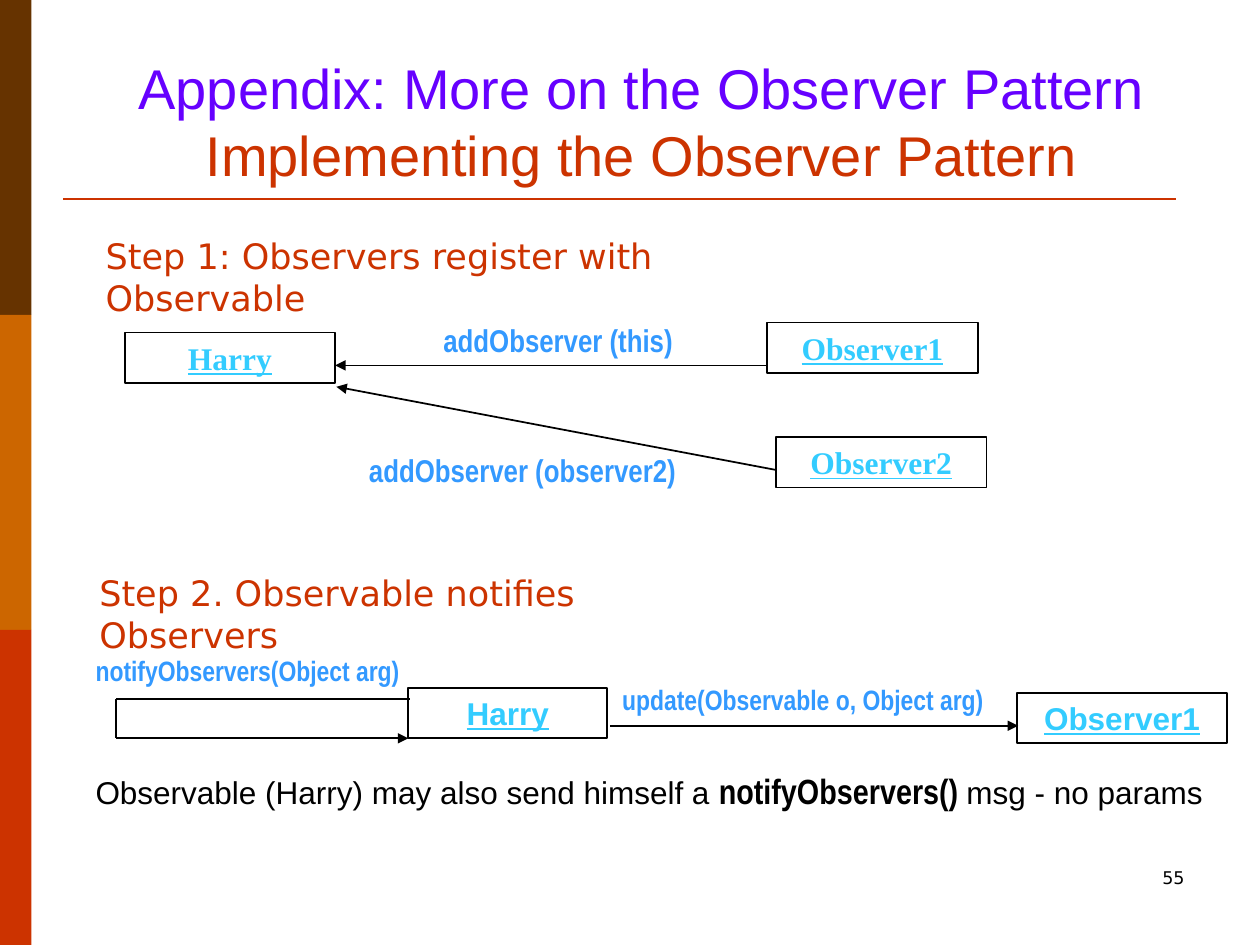
from dataclasses import dataclass

from lxml.etree import SubElement
from pptx import Presentation
from pptx.dml.color import RGBColor
from pptx.enum.shapes import MSO_CONNECTOR, MSO_SHAPE
from pptx.enum.text import MSO_ANCHOR, PP_ALIGN
from pptx.oxml.ns import qn
from pptx.util import Inches, Pt

BLACK = RGBColor(0x00, 0x00, 0x00)
BROWN = RGBColor(0x66, 0x33, 0x00)
ORANGE = RGBColor(0xCC, 0x66, 0x00)
RED = RGBColor(0xCC, 0x33, 0x00)
PURPLE = RGBColor(0x66, 0x00, 0xFF)
CYAN = RGBColor(0x33, 0xCC, 0xFF)
BLUE = RGBColor(0x33, 0x99, 0xFF)

SANS = "Arial"
NARROW = "Arial Narrow"
SERIF = "Times New Roman"
STEP_FONT = "DejaVu Sans"
LINE_BREAK = "\n"


@dataclass
class Run:
    text: str
    font: str
    size: float
    color: RGBColor
    bold: bool = False
    underline: bool = False


@dataclass
class Label:
    left: float
    top: float
    width: float
    height: float
    runs: list[Run]
    align: PP_ALIGN = PP_ALIGN.LEFT
    anchor: MSO_ANCHOR = MSO_ANCHOR.TOP


@dataclass
class ObjectBox:
    name: str
    left: float
    top: float
    width: float
    font: str
    height: float = 0.4


@dataclass
class Line:
    start: tuple[float, float]
    end: tuple[float, float]
    arrow: bool = False
    color: RGBColor = BLACK
    weight: float = 1


def message(text: str, size: float) -> list[Run]:
    return [Run(text, NARROW, size, BLUE, bold=True)]


def step(text: str) -> list[Run]:
    return [Run(text, STEP_FONT, 20, RED)]


STRIPES = [BROWN, ORANGE, RED]
STRIPE_WIDTH, STRIPE_HEIGHT = 0.25, 2.5

LABELS = [
    Label(7.17, 6.83, 2.33, 0.5, [Run("55", STEP_FONT, 10, BLACK)], PP_ALIGN.RIGHT),
    Label(0.51, 0.5, 9.17, 0.92, [
        Run("Appendix: More on the Observer Pattern", SANS, 32, PURPLE),
        Run(LINE_BREAK, SANS, 32, PURPLE),
        Run("Implementing the Observer Pattern", SANS, 32, RED),
    ], PP_ALIGN.CENTER, MSO_ANCHOR.MIDDLE),
    Label(0.74, 1.81, 5.79, 0.44, step("Step 1: Observers register with Observable")),
    Label(3.42, 2.5, 2.08, 0.4, message("addObserver (this)", 18)),
    Label(2.83, 3.53, 2.67, 0.4, message("addObserver (observer2)", 18)),
    Label(0.69, 4.49, 5.1, 0.44, step("Step 2. Observable notifies Observers")),
    Label(0.66, 5.14, 2.75, 0.36, message("notifyObservers(Object arg)", 16)),
    Label(4.84, 5.37, 3.24, 0.36, message("update(Observable o, Object arg)", 16)),
    Label(0.66, 6.06, 9.25, 0.43, [
        Run("Observable (Harry) may also send himself a", SANS, 18, BLACK),
        Run(" ", SERIF, 20, BLACK),
        Run("notifyObservers() ", NARROW, 20, BLACK, bold=True),
        Run("msg - no params", SANS, 18, BLACK),
    ]),
]

OBJECT_BOXES = [
    ObjectBox("Harry", 0.99, 2.64, 1.67, SERIF),
    ObjectBox("Observer1", 6.09, 2.56, 1.67, SERIF),
    ObjectBox("Observer2", 6.16, 3.47, 1.67, SERIF),
    ObjectBox("Harry", 3.24, 5.46, 1.58, SANS),
    ObjectBox("Observer1", 8.07, 5.5, 1.67, SANS),
]

TITLE_RULE = Line((0.5, 1.58), (9.33, 1.58), color=RED, weight=1.5)
REGISTER_LINES = [
    Line((6.09, 2.9), (2.66, 2.9), arrow=True),
    Line((6.16, 3.73), (2.67, 3.07), arrow=True),
]
SELF_CALL_LINES = [
    Line((3.25, 5.55), (0.92, 5.55)),
    Line((0.92, 5.55), (0.92, 5.86)),
    Line((0.92, 5.86), (3.24, 5.86), arrow=True),
]
UPDATE_LINE = Line((4.84, 5.76), (8.08, 5.76), arrow=True)


def fill_text(shape, runs: list[Run], align: PP_ALIGN, anchor: MSO_ANCHOR) -> None:
    frame = shape.text_frame
    frame.word_wrap = True
    frame.vertical_anchor = anchor
    paragraph = frame.paragraphs[0]
    paragraph.alignment = align
    for item in runs:
        if item.text == LINE_BREAK:
            paragraph.add_line_break()
            continue
        run = paragraph.add_run()
        run.text = item.text
        run.font.color.rgb = item.color
        formats = {
            "name": item.font,
            "size": Pt(item.size),
            "bold": item.bold,
            "underline": item.underline,
        }
        for attribute, value in formats.items():
            setattr(run.font, attribute, value)


def add_label(slide, label: Label) -> None:
    shape = slide.shapes.add_textbox(
        Inches(label.left), Inches(label.top), Inches(label.width), Inches(label.height)
    )
    fill_text(shape, label.runs, label.align, label.anchor)


def add_rectangle(slide, left: float, top: float, width: float, height: float):
    shape = slide.shapes.add_shape(
        MSO_SHAPE.RECTANGLE, Inches(left), Inches(top), Inches(width), Inches(height)
    )
    shape.shadow.inherit = False
    return shape


def add_stripe(slide, index: int, color: RGBColor) -> None:
    shape = add_rectangle(slide, 0, index * STRIPE_HEIGHT, STRIPE_WIDTH, STRIPE_HEIGHT)
    shape.fill.solid()
    shape.fill.fore_color.rgb = color
    shape.line.fill.background()


def add_object_box(slide, box: ObjectBox) -> None:
    shape = add_rectangle(slide, box.left, box.top, box.width, box.height)
    shape.fill.background()
    shape.line.color.rgb = BLACK
    shape.line.width = Pt(1)
    name = Run(box.name, box.font, 18, CYAN, bold=True, underline=True)
    fill_text(shape, [name], PP_ALIGN.CENTER, MSO_ANCHOR.TOP)


def add_line(slide, line: Line) -> None:
    points = [Inches(value) for value in (*line.start, *line.end)]
    connector = slide.shapes.add_connector(MSO_CONNECTOR.STRAIGHT, *points)
    connector.line.color.rgb = line.color
    connector.line.width = Pt(line.weight)
    if line.arrow:
        SubElement(connector.line._get_or_add_ln(), qn("a:tailEnd"), type="triangle")
    SubElement(connector._element.spPr, qn("a:effectLst"))


def main() -> None:
    presentation = Presentation()
    presentation.slide_width = Inches(10)
    presentation.slide_height = Inches(7.5)
    slide = presentation.slides.add_slide(presentation.slide_layouts[6])
    for index, color in enumerate(STRIPES):
        add_stripe(slide, index, color)
    for box in OBJECT_BOXES:
        add_object_box(slide, box)
    for line in [TITLE_RULE, *REGISTER_LINES, *SELF_CALL_LINES, UPDATE_LINE]:
        add_line(slide, line)
    for label in LABELS:
        add_label(slide, label)
    presentation.save("out.pptx")


if __name__ == "__main__":
    main()
